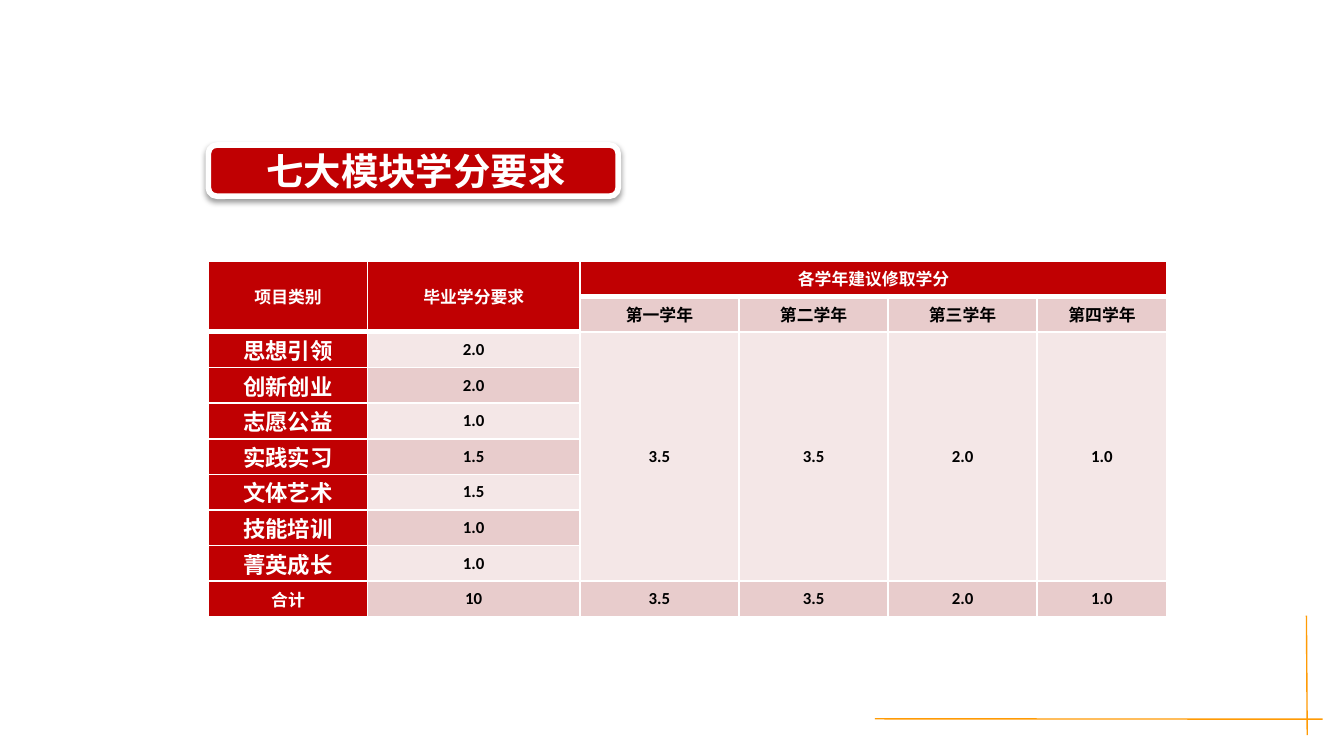
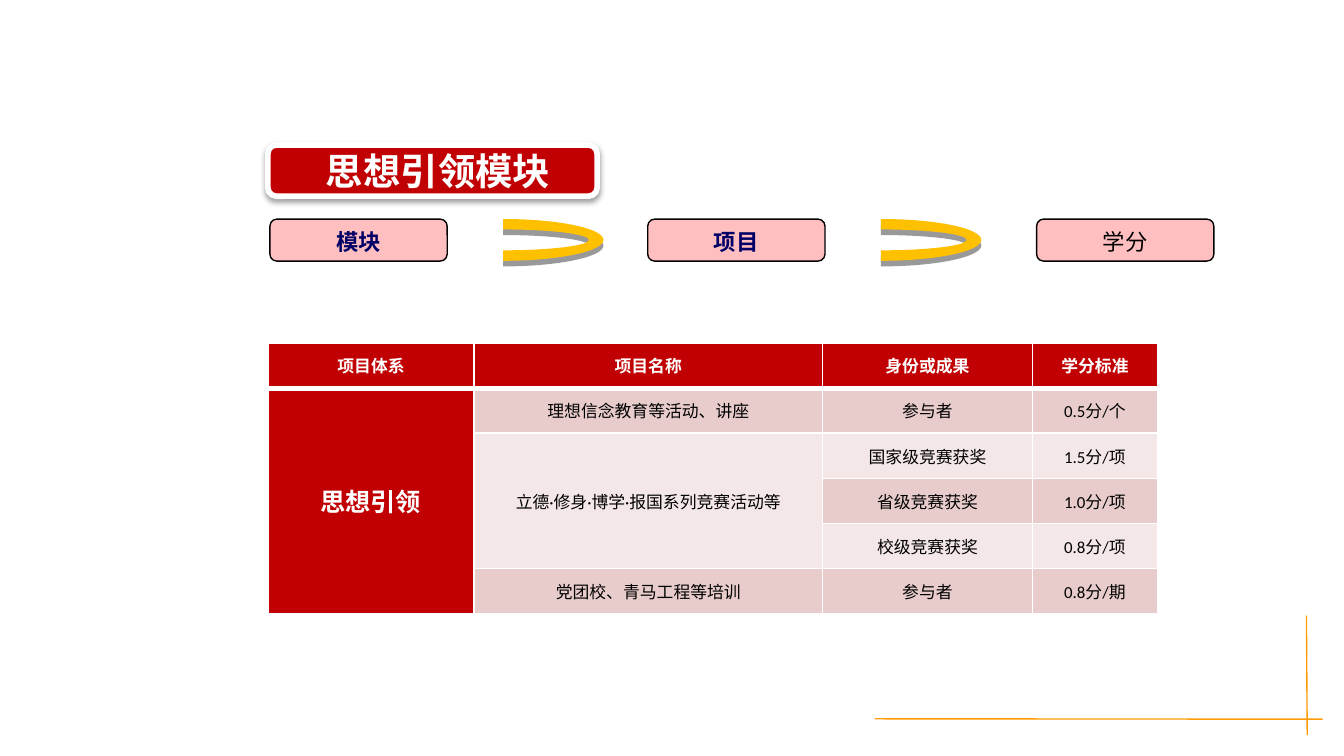
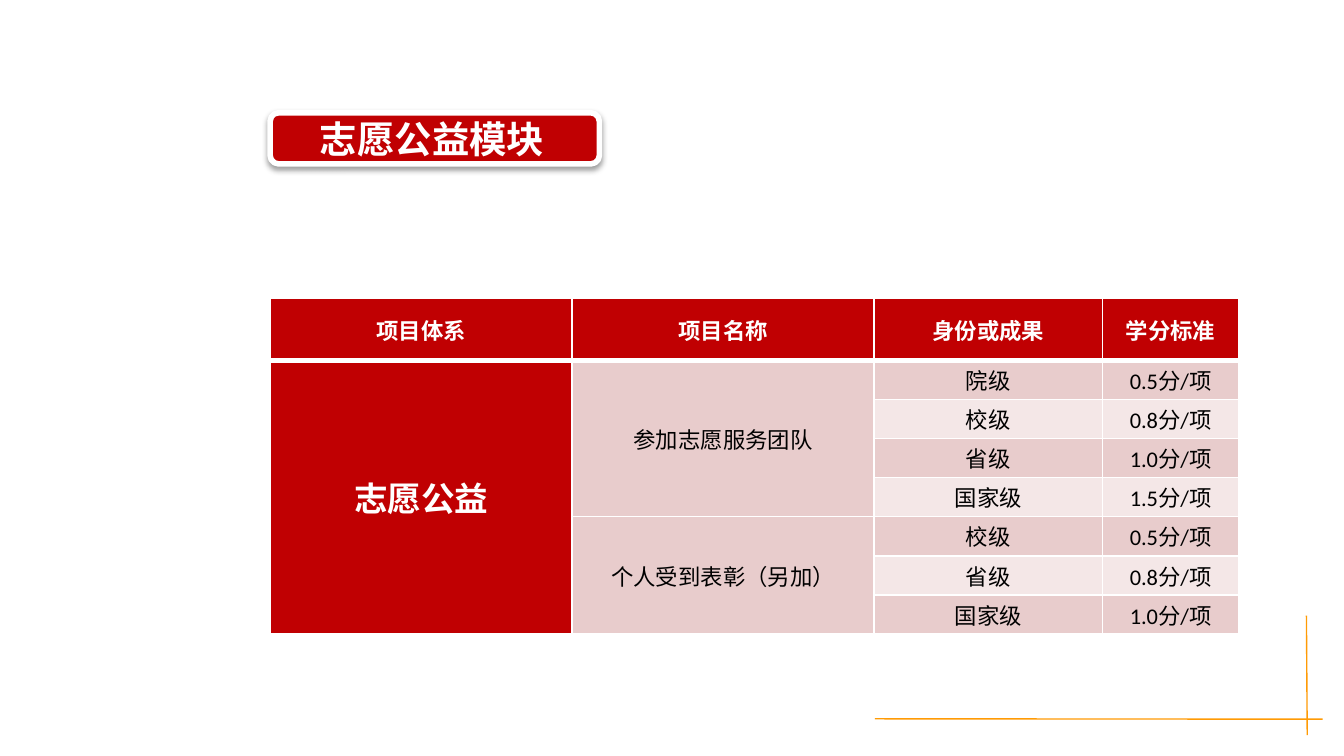
from dataclasses import dataclass

from lxml import etree
from pptx import Presentation
from pptx import util as u
from pptx.dml.color import RGBColor
from pptx.enum import shapes, text
from pptx.oxml.ns import qn

Pt = u.Pt
FONT = "Calibri"
COLORS = {
    "red": "C00002",
    "white": "FFFFFF",
    "black": "000000",
    "navy": "000066",
    "pink": "FFBFC0",
    "light": "F4E7E7",
    "dark": "E8CCCC",
    "gold": "FFC000",
    "orange": "FF9B05",
}
BANDS = ("light", "dark")
KAPPA = 0.55  # control point distance for a quarter ellipse


@dataclass
class Banner:
    label: str
    left: float
    top: float
    width: float
    indent: float


@dataclass
class Grid:
    """A credit table; spans are (row, column, rows, columns)."""
    left: float
    top: float
    cols: list[float]
    row_heights: list[float]
    head_rows: list[int]
    spans: list[tuple[int, int, int, int]]
    rows: list[list[str]]
    size: float
    lead_size: float
    inset: float
    space_after: float = 0
    bold_body: bool = False
    has_total: bool = False


@dataclass
class Pill:
    label: str
    left: float
    font: str
    color: str
    bold: bool


def rgb(name: str) -> RGBColor:
    return RGBColor.from_string(COLORS[name])


def paint(sp, fill: str, line: str | None = None, width: float = 0) -> None:
    sp.fill.solid()
    sp.fill.fore_color.rgb = rgb(fill)
    if line:
        sp.line.color.rgb = rgb(line)
        sp.line.width = Pt(width)
    else:
        sp.line.fill.background()
    sp.shadow.inherit = False


def style(p, size: float, color: str, bold: bool, font: str = FONT) -> None:
    p.font.name = font
    p.font.size = Pt(size)
    p.font.bold = bold
    p.font.color.rgb = rgb(color)


def add_shadow(sp, blur: float, dist: float, alpha: int) -> None:
    """Give a painted shape a black shadow straight below it."""
    effects = sp._element.spPr.find(qn("a:effectLst"))
    shadow = etree.SubElement(effects, qn("a:outerShdw"), blurRad=str(Pt(blur)),
                              dist=str(Pt(dist)), dir="5400000", algn="t", rotWithShape="0")
    color = etree.SubElement(shadow, qn("a:srgbClr"), val=COLORS["black"])
    etree.SubElement(color, qn("a:alpha"), val=str(alpha * 1000))


def add_corner_lines(s) -> None:
    for ends in ((468.7, 385.1, 708.5, 385.3), (699.9, 329.8, 700.3, 393.8)):
        line = s.shapes.add_connector(shapes.MSO_CONNECTOR.STRAIGHT, *map(Pt, ends))
        line.line.color.rgb = rgb("orange")
        line.line.width = Pt(0.75)
        etree.SubElement(line._element.spPr, qn("a:effectLst"))


def add_rounded_box(s, left: float, top: float, width: float, height: float):
    return s.shapes.add_shape(shapes.MSO_SHAPE.ROUNDED_RECTANGLE,
                              *map(Pt, (left, top, width, height)))


def add_banner(s, banner: Banner) -> None:
    sp = add_rounded_box(s, banner.left, banner.top, banner.width, 27.4)
    paint(sp, "red", "white", 3)
    add_shadow(sp, 3.1, 1.6, 38)
    tf = sp.text_frame
    tf.text = banner.label
    tf.vertical_anchor = text.MSO_ANCHOR.MIDDLE
    tf.margin_left = Pt(banner.indent)
    p = tf.paragraphs[0]
    p.alignment = text.PP_ALIGN.LEFT
    style(p, 20, "white", True)


def set_borders(cell, top: float, bottom: float) -> None:
    tc_pr = cell._tc.get_or_add_tcPr()
    widths = {"L": 1, "R": 1, "T": top, "B": bottom}
    for i, (side, width) in enumerate(widths.items()):
        line = etree.Element(qn(f"a:ln{side}"), w=str(Pt(width)))
        fill = etree.SubElement(line, qn("a:solidFill"))
        etree.SubElement(fill, qn("a:srgbClr"), val=COLORS["white"])
        tc_pr.insert(i, line)


def add_grid(s, grid: Grid) -> None:
    frame = s.shapes.add_table(len(grid.rows), len(grid.cols), Pt(grid.left), Pt(grid.top),
                               Pt(sum(grid.cols)), Pt(sum(grid.row_heights)))
    table = frame.table
    for column, width in zip(table.columns, grid.cols):
        column.width = Pt(width)
    for row, height in zip(table.rows, grid.row_heights):
        row.height = Pt(height)
    for r, c, rows, cols in grid.spans:
        table.cell(r, c).merge(table.cell(r + rows - 1, c + cols - 1))

    last = len(grid.rows) - 1
    for r, labels in enumerate(grid.rows):
        for c, label in enumerate(labels):
            cell = table.cell(r, c)
            is_head = r < grid.head_rows[c]
            is_red = is_head or c == 0
            is_lead = c == 0 and not is_head and not (grid.has_total and r == last)
            cell.fill.solid()
            cell.fill.fore_color.rgb = rgb("red" if is_red else BANDS[r % 2])
            set_borders(cell, 3 if r == grid.head_rows[c] else 1, 3 if is_head else 1)
            if cell.is_spanned:
                continue
            cell.vertical_anchor = text.MSO_ANCHOR.MIDDLE
            cell.margin_left = cell.margin_right = Pt(grid.inset)
            cell.margin_top = cell.margin_bottom = 0
            cell.text = label
            p = cell.text_frame.paragraphs[0]
            p.alignment = text.PP_ALIGN.CENTER
            p.space_after = Pt(grid.space_after)
            style(p, grid.lead_size if is_lead else grid.size,
                  "white" if is_red else "black", is_red or grid.bold_body)


def add_pill(s, pill: Pill) -> None:
    sp = add_rounded_box(s, pill.left, 117.4, 95, 22.5)
    paint(sp, "pink", "black", 0.75)
    tf = sp.text_frame
    tf.text = pill.label
    tf.vertical_anchor = text.MSO_ANCHOR.TOP
    p = tf.paragraphs[0]
    p.alignment = text.PP_ALIGN.CENTER
    style(p, 12, pill.color, pill.bold, pill.font)


def bend(line, start: tuple[int, int], end: tuple[int, int], upright: bool) -> None:
    """Turn a line segment into a quarter ellipse, leaving its start upright or level."""
    (x1, y1), (x2, y2) = start, end
    dx, dy = round(KAPPA * (x2 - x1)), round(KAPPA * (y2 - y1))
    if upright:
        controls = [(x1, y1 + dy), (x2 - dx, y2)]
    else:
        controls = [(x1 + dx, y1), (x2, y2 - dy)]
    line.tag = qn("a:cubicBezTo")
    for i, (x, y) in enumerate(controls):
        line.insert(i, etree.Element(qn("a:pt"), x=str(x), y=str(y)))


def add_arc(s, x: float) -> None:
    """Draw an upright arch around x, in a frame twice its height, and turn it right."""
    y, rx, ry, inner_rx, inner_ry = 128.55, 11.2, 53.8, 5.6, 46
    corners = [(Pt(a), Pt(b)) for a, b in (
        (x - rx, y), (x, y - ry), (x + rx, y),
        (x + inner_rx, y), (x, y - inner_ry), (x - inner_rx, y))]
    builder = s.shapes.build_freeform(*corners[0])
    builder.add_line_segments(corners[1:])
    sp = builder.convert_to_shape()

    outline = sp._element.spPr.find(".//" + qn("a:pathLst"))[0]
    points = [(int(pt.get("x")), int(pt.get("y"))) for pt in outline.iter(qn("a:pt"))]
    lines = outline.findall(qn("a:lnTo"))
    for i, upright in ((0, True), (1, False), (3, True), (4, False)):
        bend(lines[i], points[i], points[i + 1], upright)
    sp.height *= 2
    outline.set("h", str(sp.height))
    sp.rotation = 90
    paint(sp, "gold")
    add_shadow(sp, 0, 3, 40)


HEAD = ["项目体系", "项目名称", "身份或成果", "学分标准"]

PILLS = [
    Pill("模块", 144.6, "DejaVu Sans", "navy", True),
    Pill("项目", 347, "DejaVu Sans", "navy", True),
    Pill("学分", 555.3, "Arial", "black", False),
]
ARC_CENTERS = (269.5, 471.9)

MODULES = [
    ("思想引领", "2.0"), ("创新创业", "2.0"), ("志愿公益", "1.0"), ("实践实习", "1.5"),
    ("文体艺术", "1.5"), ("技能培训", "1.0"), ("菁英成长", "1.0"),
]
YEAR_CREDITS = ["3.5", "3.5", "2.0", "1.0"]

REQUIREMENTS = Grid(
    left=111.7, top=139.7, cols=[85.2, 113.8, 85.2, 80, 79.6, 69.8], row_heights=[19.08] * 10,
    head_rows=[2, 2, 1, 1, 1, 1],
    spans=[(0, 0, 2, 1), (0, 1, 2, 1), (0, 2, 1, 4)] + [(2, c, 7, 1) for c in range(2, 6)],
    rows=[
        ["项目类别", "毕业学分要求", "各学年建议修取学分", "", "", ""],
        ["", "", "第一学年", "第二学年", "第三学年", "第四学年"],
        *([name, credit] + (YEAR_CREDITS if i == 0 else [""] * 4)
          for i, (name, credit) in enumerate(MODULES)),
        ["合计", "10", *YEAR_CREDITS],
    ],
    size=9, lead_size=12, inset=4.3, space_after=6, bold_body=True, has_total=True,
)

GUIDANCE = Grid(
    left=143.6, top=183.7, cols=[110.3, 186.7, 112.5, 67], row_heights=[24.2] * 6,
    head_rows=[1] * 4, spans=[(1, 0, 5, 1), (2, 1, 3, 1)],
    rows=[
        HEAD,
        ["思想引领", "理想信念教育等活动、讲座", "参与者", "0.5分/个"],
        ["", "立德·修身·博学·报国系列竞赛活动等", "国家级竞赛获奖", "1.5分/项"],
        ["", "", "省级竞赛获奖", "1.0分/项"],
        ["", "", "校级竞赛获奖", "0.8分/项"],
        ["", "党团校、青马工程等培训", "参与者", "0.8分/期"],
    ],
    size=9, lead_size=13.5, inset=4.3,
)

VOLUNTEERING = Grid(
    left=144.8, top=159.8, cols=[161.8, 161.8, 122.3, 73], row_heights=[33.2] + [20.95] * 7,
    head_rows=[1] * 4, spans=[(1, 0, 7, 1), (1, 1, 4, 1), (5, 1, 3, 1)],
    rows=[
        HEAD,
        ["志愿公益", "参加志愿服务团队", "院级", "0.5分/项"],
        ["", "", "校级", "0.8分/项"],
        ["", "", "省级", "1.0分/项"],
        ["", "", "国家级", "1.5分/项"],
        ["", "个人受到表彰（另加）", "校级", "0.5分/项"],
        ["", "", "省级", "0.8分/项"],
        ["", "", "国家级", "1.0分/项"],
    ],
    size=12, lead_size=18, inset=5.8,
)

SLIDES = [
    (Banner("七大模块学分要求", 111.6, 77.7, 219.6, 29.8), REQUIREMENTS),
    (Banner("思想引领模块", 143.5, 77.7, 176.4, 29.8), GUIDANCE),
    (Banner("志愿公益模块", 144.7, 60.4, 176.4, 25.3), VOLUNTEERING),
]


def main() -> None:
    prs = Presentation()
    prs.slide_width, prs.slide_height = Pt(720), Pt(405)
    blank = prs.slide_layouts[6]
    for banner, grid in SLIDES:
        s = prs.slides.add_slide(blank)
        add_corner_lines(s)
        add_grid(s, grid)
        add_banner(s, banner)
        if grid is GUIDANCE:
            for pill in PILLS:
                add_pill(s, pill)
            for x in ARC_CENTERS:
                add_arc(s, x)
    prs.save("out.pptx")


if __name__ == "__main__":
    main()
